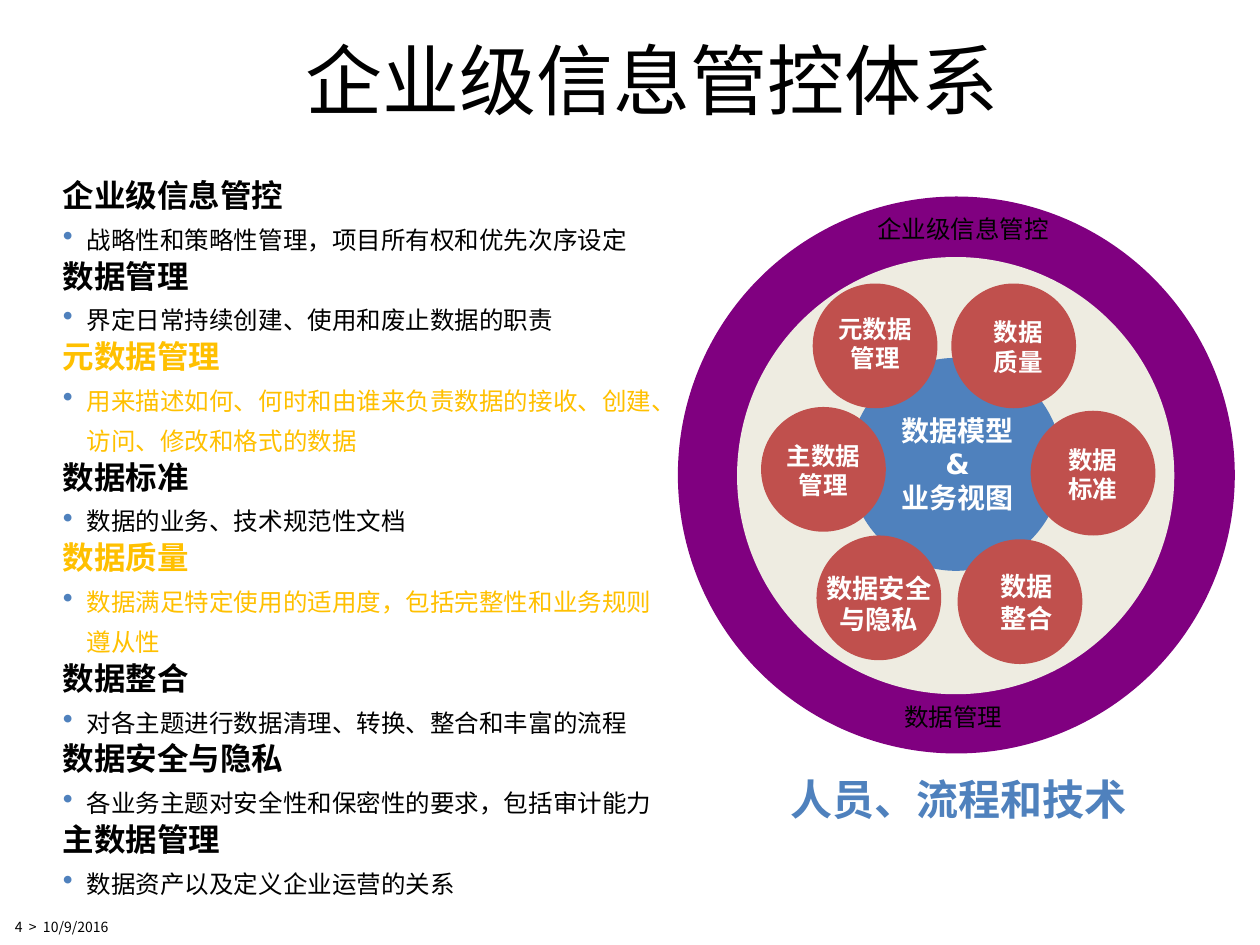
"""Build the enterprise information governance slide."""
import pptx
import pptx.util
import pptx.dml.color
import pptx.enum.shapes
import pptx.enum.text
import pptx.oxml
import pptx.oxml.ns

Inches, Pt = pptx.util.Inches, pptx.util.Pt
ALIGN, ANCHOR = pptx.enum.text.PP_ALIGN, pptx.enum.text.MSO_ANCHOR
AUTO_SIZE = pptx.enum.text.MSO_AUTO_SIZE

BLACK, WHITE, GOLD = "000000", "FFFFFF", "FFC000"
BLUE, RED, PURPLE, CREAM = "4F81BD", "C0504D", "800080", "EEECE1"
SANS, CJK = "DejaVu Sans", "Noto Sans CJK SC"
DISC = 0.99

TOPICS = [
    ("企业级信息管控", "战略性和策略性管理，项目所有权和优先次序设定", BLACK),
    ("数据管理", "界定日常持续创建、使用和废止数据的职责", BLACK),
    ("元数据管理", "用来描述如何、何时和由谁来负责数据的接收、创建、访问、修改和格式的数据", GOLD),
    ("数据标准", "数据的业务、技术规范性文档", BLACK),
    ("数据质量", "数据满足特定使用的适用度，包括完整性和业务规则遵从性", GOLD),
    ("数据整合", "对各主题进行数据清理、转换、整合和丰富的流程", BLACK),
    ("数据安全与隐私", "各业务主题对安全性和保密性的要求，包括审计能力", BLACK),
    ("主数据管理", "数据资产以及定义企业运营的关系", BLACK),
]

DISCS = [
    ("主数据\n管理", 6.04, 3.23, (6.04, 3.45, 0.99, 0.57), 14),
    ("数据质量", 7.55, 2.25, (7.74, 2.47, 0.68, 0.57), 14),
    ("元数据\n管理", 6.45, 2.25, (6.39, 2.44, 1.11, 0.57), 14),
    ("数据安全与隐私", 6.48, 4.25, (6.42, 4.49, 1.11, 0.6), 15),
    ("数据整合", 7.6, 4.28, (7.8, 4.48, 0.69, 0.6), 15),
    ("数据\n标准", 8.18, 3.26, (8.18, 3.48, 0.99, 0.57), 14),
]


def rgb(color):
    """Turn a hex string into a colour."""
    return pptx.dml.color.RGBColor.from_string(color)


def write(p, text, size=14, font=SANS, color=BLACK, bold=False, align=None):
    """Put formatted text into a paragraph; a newline is a line break."""
    p.text = text.replace("\n", "\v")
    p.alignment = align
    for r in p.runs:
        r.font.size, r.font.bold, r.font.name = Pt(size), bold, font
        r.font.color.rgb = rgb(color)
        ea = pptx.oxml.parse_xml(
            f'<a:ea {pptx.oxml.ns.nsdecls("a")} typeface="{font}"/>')
        r.font._element.find(pptx.oxml.ns.qn("a:latin")).addnext(ea)


def add_box(s, box, grow=False, anchor=ANCHOR.TOP):
    """Add a wrapping text box and return its text frame."""
    tf = s.shapes.add_textbox(*map(Inches, box)).text_frame
    tf.word_wrap = True
    tf.vertical_anchor = anchor
    tf.auto_size = AUTO_SIZE.SHAPE_TO_FIT_TEXT if grow else AUTO_SIZE.NONE
    return tf


def add_label(s, text, box, grow=True, anchor=ANCHOR.TOP, **fmt):
    """Add a centred label."""
    tf = add_box(s, box, grow, anchor)
    write(tf.paragraphs[0], text, align=ALIGN.CENTER, **fmt)


def add_circle(s, left, top, size, color):
    """Add a plain filled circle."""
    sp = s.shapes.add_shape(pptx.enum.shapes.MSO_SHAPE.OVAL, Inches(left),
                            Inches(top), Inches(size), Inches(size))
    sp.shadow.inherit = False
    sp.fill.solid()
    sp.fill.fore_color.rgb = rgb(color)
    sp.line.fill.background()


def set_indent(p, bullet):
    """Give a paragraph its hanging indent and, if asked, a bullet."""
    p.line_spacing = Pt(23)
    pPr = p._p.get_or_add_pPr()
    pPr.set("marL", str(Inches(0.32)))
    pPr.set("indent", str(Inches(-0.19)))
    marks = ['<a:buNone {}/>']
    if bullet:
        marks = [f'<a:buClr {{}}><a:srgbClr val="{BLUE}"/></a:buClr>',
                 '<a:buSzPct {} val="120000"/>', '<a:buChar {} char="•"/>']
    for mark in marks:
        pPr.append(pptx.oxml.parse_xml(mark.format(pptx.oxml.ns.nsdecls("a"))))


def add_topics(s):
    """Add the list of headings with one bullet under each."""
    tf = add_box(s, (0.27, 1.33, 5.17, 5.85), grow=True)
    p = tf.paragraphs[0]
    for i, (heading, detail, color) in enumerate(TOPICS):
        if i:
            p = tf.add_paragraph()
        write(p, heading, size=18, font=CJK, color=color, bold=True)
        set_indent(p, bullet=False)
        p = tf.add_paragraph()
        write(p, detail, font=CJK, color=color)
        set_indent(p, bullet=True)


def add_wheel(s):
    """Add the rings, the core and the six discs around it."""
    add_circle(s, 5.38, 1.56, 4.42, PURPLE)
    add_circle(s, 5.85, 2.04, 3.47, CREAM)
    for text, left, top in (("企业级信息管控", 6.75, 1.53), ("数据管理", 6.67, 5.4)):
        add_label(s, text, (left, top, 1.79, 0.57), grow=False,
                  anchor=ANCHOR.MIDDLE)
    add_circle(s, 6.74, 2.84, 1.69, BLUE)
    for text, left, top, box, size in DISCS:
        add_circle(s, left, top, DISC, RED)
        add_label(s, text, box, size=size, color=WHITE, bold=True)
    add_label(s, "数据模型&\n业务视图", (6.97, 3.23, 1.26, 0.9),
              size=16, color=WHITE, bold=True)


def add_title(s, text):
    """Place and fill the title placeholder."""
    sp = s.shapes.title
    sp.left, sp.top, sp.width, sp.height = map(Inches, (0.35, 0, 9.65, 1.25))
    sp.text_frame.vertical_anchor = ANCHOR.MIDDLE
    write(sp.text_frame.paragraphs[0], text, size=44, font="Calibri",
          align=ALIGN.CENTER)


def main():
    """Build and save the slide."""
    prs = pptx.Presentation()
    prs.slide_width, prs.slide_height = Inches(10), Inches(7.5)
    s = prs.slides.add_slide(prs.slide_layouts[5])
    add_title(s, "企业级信息管控体系")
    add_topics(s)
    add_label(s, "人员、流程和技术", (5.89, 6.09, 3.43, 0.5),
              size=24, color=BLUE, bold=True)
    add_wheel(s)
    tf = add_box(s, (0.02, 7.24, 1.4, 0.26))
    write(tf.paragraphs[0], "4  >  10/9/2016", size=8, font=CJK)
    prs.save("out.pptx")


if __name__ == "__main__":
    main()
